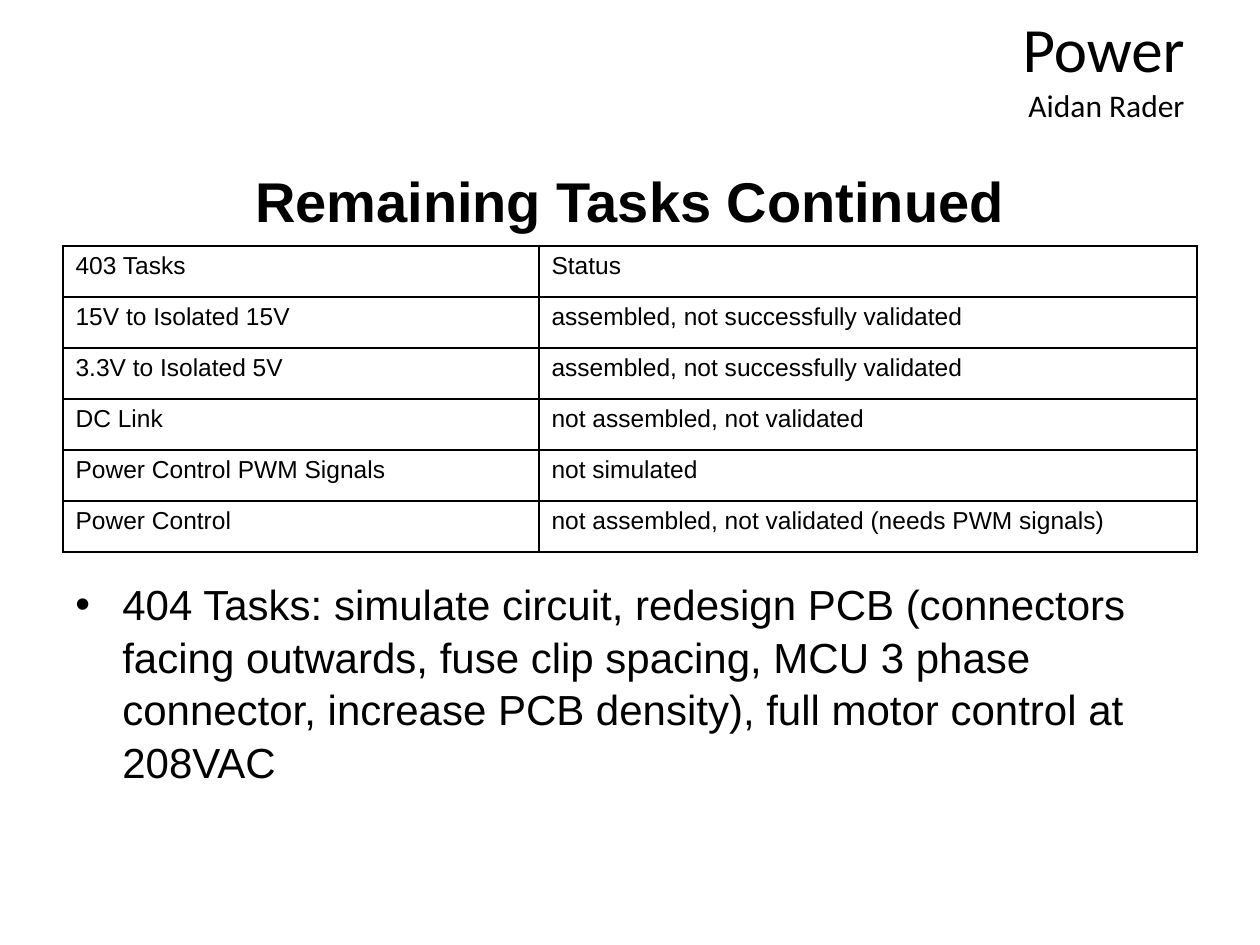
"""Build the Power slide listing the remaining tasks and their status."""

from dataclasses import dataclass

import pptx
import pptx.dml.color
import pptx.enum.text
import pptx.oxml
import pptx.oxml.ns
import pptx.util

EMU_PER_PX = 914400 / 126
BLACK = "000000"
ALIGN = pptx.enum.text.PP_ALIGN
ANCHOR = pptx.enum.text.MSO_ANCHOR


@dataclass
class Line:
    text: str
    size: int
    font: str = "Arial"
    bold: bool = False
    align: ALIGN = ALIGN.LEFT
    bullet_indent: int = 0
    spacing: float = 1.0


@dataclass
class TextBox:
    left: int
    top: int
    width: int
    height: int
    lines: list[Line]
    anchor: ANCHOR = ANCHOR.TOP
    top_inset: int = 6


@dataclass
class Task:
    name: str
    status: str


TEXT_BOXES = [
    TextBox(63, 145, 1134, 111,
            [Line("Remaining Tasks Continued", 32, bold=True, align=ALIGN.CENTER)],
            anchor=ANCHOR.MIDDLE),
    TextBox(63, 568, 1134, 276,
            [Line("404 Tasks:\u00a0simulate circuit, redesign PCB (connectors facing outwards, "
                  "fuse clip spacing, MCU 3 phase connector, increase PCB density), "
                  "full motor control at 208VAC", 24, bullet_indent=47, spacing=1.04)],
            top_inset=9),
    TextBox(284, 4, 913, 127,
            [Line("Power", 36, "Calibri", align=ALIGN.RIGHT),
             Line("Aidan Rader", 18, "Calibri", align=ALIGN.RIGHT)]),
]

TASKS = [
    Task("403 Tasks", "Status"),
    Task("15V to Isolated 15V", "assembled, not successfully validated"),
    Task("3.3V to Isolated 5V", "assembled, not successfully validated"),
    Task("DC Link", "not assembled, not validated"),
    Task("Power Control PWM Signals", "not simulated"),
    Task("Power Control", "not assembled, not validated (needs PWM signals)"),
]
TABLE_LEFT, TABLE_TOP = 63, 246
COLUMN_WIDTHS = [476, 658]
ROW_HEIGHT = 51


def px(length: int) -> pptx.util.Emu:
    """Turn pixels into EMU."""
    return pptx.util.Emu(round(length * EMU_PER_PX))


def color(value: str) -> pptx.dml.color.RGBColor:
    """Turn a hex string into a colour."""
    return pptx.dml.color.RGBColor.from_string(value)


def add_bullet(paragraph, indent: int) -> None:
    """Give a paragraph a round bullet with a hanging indent."""
    properties = paragraph._p.get_or_add_pPr()
    properties.set("marL", str(px(indent)))
    properties.set("indent", str(-px(indent)))
    namespace = pptx.oxml.ns.nsdecls("a")
    properties.append(pptx.oxml.parse_xml(f'<a:buFont {namespace} typeface="Arial"/>'))
    properties.append(pptx.oxml.parse_xml(f'<a:buChar {namespace} char="•"/>'))


def write_line(paragraph, line: Line) -> None:
    """Write one styled line into a paragraph."""
    paragraph.text = line.text
    if line.bullet_indent:
        add_bullet(paragraph, line.bullet_indent)
    paragraph.alignment = line.align
    paragraph.line_spacing = line.spacing
    paragraph.font.name = line.font
    paragraph.font.size = pptx.util.Pt(line.size)
    paragraph.font.bold = line.bold
    paragraph.font.color.rgb = color(BLACK)


def add_text_box(slide, box: TextBox) -> None:
    """Draw a text box with its lines."""
    shape = slide.shapes.add_textbox(px(box.left), px(box.top), px(box.width), px(box.height))
    frame = shape.text_frame
    frame.word_wrap = True
    frame.vertical_anchor = box.anchor
    frame.margin_top = px(box.top_inset)
    for index, line in enumerate(box.lines):
        paragraph = frame.add_paragraph() if index else frame.paragraphs[0]
        write_line(paragraph, line)


def add_borders(cell) -> None:
    """Put a thin black border on every side of a cell."""
    properties = cell._tc.get_or_add_tcPr()
    for index, side in enumerate(("lnL", "lnR", "lnT", "lnB")):
        border = pptx.oxml.parse_xml(
            f'<a:{side} {pptx.oxml.ns.nsdecls("a")} w="{pptx.util.Pt(1)}">'
            f'<a:solidFill><a:srgbClr val="{BLACK}"/></a:solidFill></a:{side}>')
        properties.insert(index, border)


def add_task_table(slide, tasks: list[Task]) -> None:
    """Draw the table of tasks and their status."""
    table = slide.shapes.add_table(
        len(tasks), len(COLUMN_WIDTHS), px(TABLE_LEFT), px(TABLE_TOP),
        px(sum(COLUMN_WIDTHS)), px(ROW_HEIGHT * len(tasks))).table
    table.first_row = False
    table.horz_banding = False
    for column, width in zip(table.columns, COLUMN_WIDTHS):
        column.width = px(width)
    for row, task in zip(table.rows, tasks):
        row.height = px(ROW_HEIGHT)
        for cell, text in zip(row.cells, (task.name, task.status)):
            cell.fill.background()
            add_borders(cell)
            write_line(cell.text_frame.paragraphs[0], Line(text, 14))


def main() -> None:
    """Build and save the presentation."""
    presentation = pptx.Presentation()
    presentation.slide_width = px(1260)
    presentation.slide_height = px(945)
    slide = presentation.slides.add_slide(presentation.slide_layouts[6])
    for box in TEXT_BOXES:
        add_text_box(slide, box)
    add_task_table(slide, TASKS)
    presentation.save("out.pptx")


if __name__ == "__main__":
    main()
